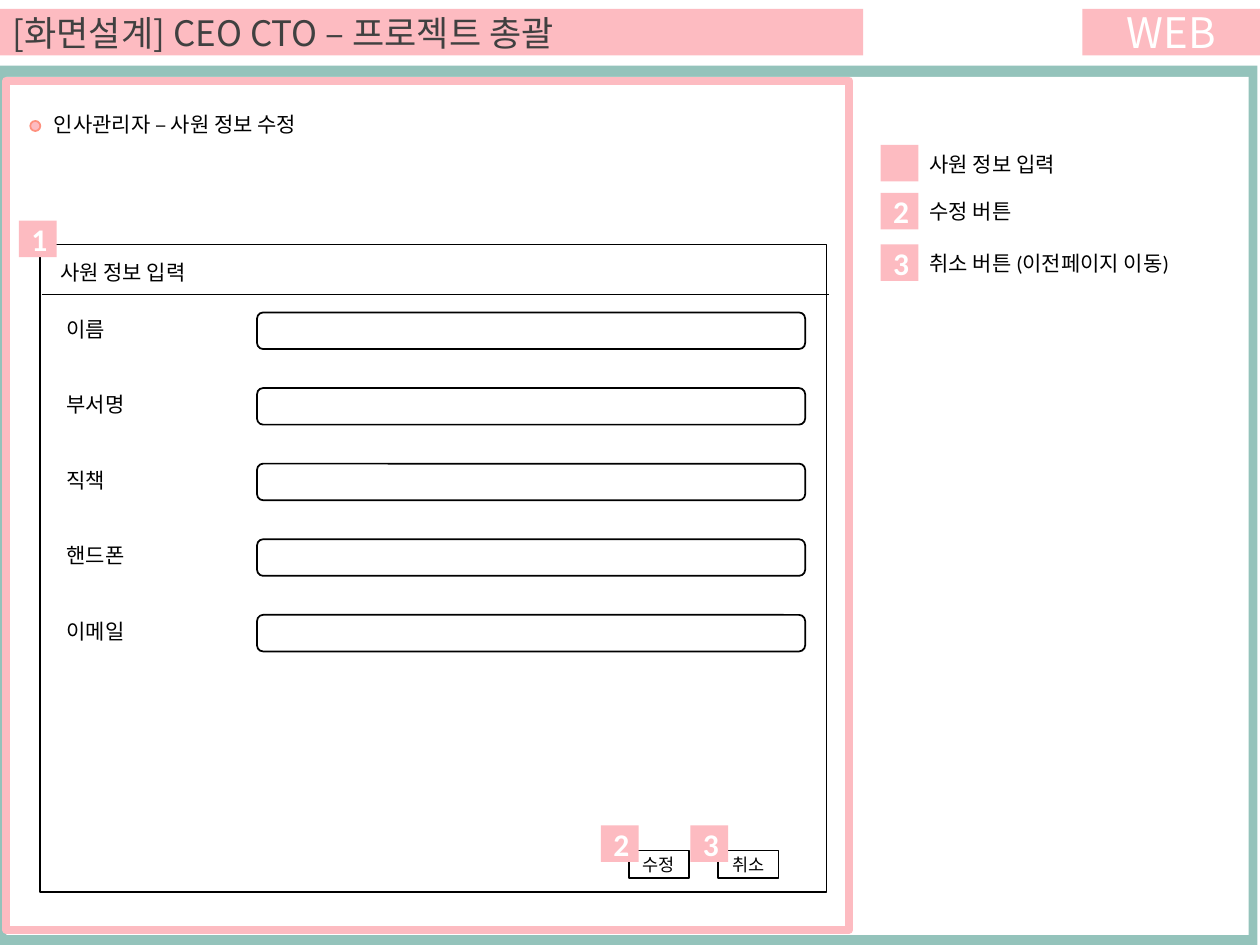
import pptx
import pptx.dml.color
import pptx.enum.shapes
import pptx.enum.text
import pptx.oxml.ns
import pptx.util
from lxml import etree

RGBColor = pptx.dml.color.RGBColor
PINK = RGBColor(0xFD, 0xBB, 0xC1)
CORAL = RGBColor(0xFE, 0x90, 0x7E)
GREEN = RGBColor(0x94, 0xC3, 0xBB)
GRAY = RGBColor(0x40, 0x40, 0x40)
WHITE = RGBColor(0xFF, 0xFF, 0xFF)
BLACK = RGBColor(0, 0, 0)

SHAPE = pptx.enum.shapes.MSO_SHAPE
ALIGN = pptx.enum.text.PP_ALIGN
Inches, Pt = pptx.util.Inches, pptx.util.Pt
qn = pptx.oxml.ns.qn

LATIN, KOREAN = "Calibri", "Noto Sans CJK KR"
BADGE_W, BADGE_H = 0.3, 0.29
FIELDS = ["이름", "부서명", "직책", "핸드폰", "이메일"]
FIELD_TOP, FIELD_PITCH = 2.48, 0.6


def write(sp, text, size, color, font=LATIN, bold=False, align=ALIGN.CENTER):
    tf = sp.text_frame
    tf.word_wrap = True
    tf.vertical_anchor = pptx.enum.text.MSO_ANCHOR.MIDDLE
    p = tf.paragraphs[0]
    p.text = text
    p.alignment = align
    p.font.size, p.font.name, p.font.bold = Pt(size), font, bold
    p.font.color.rgb = color
    ea = etree.SubElement(p._p.pPr.find(qn("a:defRPr")), qn("a:ea"))
    ea.set("typeface", KOREAN)
    return tf


def add_box(slide, x, y, w, h, fill=None, line=None, width=1, kind=SHAPE.RECTANGLE):
    sp = slide.shapes.add_shape(kind, Inches(x), Inches(y), Inches(w), Inches(h))
    sp.shadow.inherit = False
    if fill is None:
        sp.fill.background()
    else:
        sp.fill.solid()
        sp.fill.fore_color.rgb = fill
    if line is None:
        sp.line.fill.background()
    else:
        sp.line.color.rgb = line
        sp.line.width = Pt(width)
    return sp


def add_label(slide, x, y, w, text):
    sp = slide.shapes.add_textbox(Inches(x), Inches(y), Inches(w), Inches(0.3))
    tf = write(sp, text, 12, BLACK, align=ALIGN.LEFT)
    tf.vertical_anchor = pptx.enum.text.MSO_ANCHOR.TOP
    tf.auto_size = pptx.enum.text.MSO_AUTO_SIZE.SHAPE_TO_FIT_TEXT


def add_badge(slide, x, y, number=""):
    sp = add_box(slide, x, y, BADGE_W, BADGE_H, PINK)
    if number:
        write(sp, number, 18, WHITE, bold=True)


def add_button(slide, x, y, text):
    sp = add_box(slide, x, y, 0.48, 0.22, WHITE, BLACK)
    tf = write(sp, text, 10, BLACK)
    tf.margin_left = tf.margin_right = tf.margin_top = tf.margin_bottom = 0


def add_rule(slide, x1, x2, y):
    line = slide.shapes.add_connector(
        pptx.enum.shapes.MSO_CONNECTOR.STRAIGHT,
        Inches(x1), Inches(y), Inches(x2), Inches(y))
    line.line.color.rgb = BLACK
    line.line.width = Pt(0.5)
    etree.SubElement(line._element.spPr, qn("a:effectLst"))


def add_header(slide):
    title = slide.shapes.title
    title.left, title.top = Inches(0), Inches(0.07)
    title.width, title.height = Inches(6.85), Inches(0.37)
    title.fill.solid()
    title.fill.fore_color.rgb = PINK
    tf = write(title, "[화면설계] CEO CTO – 프로젝트 총괄", 20, GRAY, KOREAN,
               align=ALIGN.LEFT)
    tf.auto_size = pptx.enum.text.MSO_AUTO_SIZE.NONE
    write(add_box(slide, 8.59, 0.07, 1.41, 0.37, PINK), "WEB", 24, WHITE, KOREAN)


def add_frame(slide):
    add_box(slide, -0.02, 0.52, 10, 6.98, GREEN)
    add_box(slide, 0.05, 0.61, 9.86, 6.81, WHITE)
    add_box(slide, 0.05, 0.64, 6.69, 6.74, line=PINK, width=4.5)


def add_form(slide):
    # Screen name with its bullet
    add_box(slide, 0.24, 0.96, 0.08, 0.08, PINK, CORAL, kind=SHAPE.OVAL)
    add_label(slide, 0.33, 0.84, 3.86, "인사관리자 – 사원 정보 수정")
    # Panel and its heading
    add_box(slide, 0.32, 1.94, 6.24, 5.14, WHITE, BLACK)
    add_rule(slide, 0.33, 6.58, 2.34)
    add_label(slide, 0.38, 2.01, 1.83, "사원 정보 입력")
    add_badge(slide, 0.15, 1.75, "1")
    # Input rows
    for i, name in enumerate(FIELDS):
        y = FIELD_TOP + i * FIELD_PITCH
        add_box(slide, 2.04, y, 4.35, 0.29, WHITE, BLACK,
                kind=SHAPE.ROUNDED_RECTANGLE)
        add_label(slide, 0.43, y - 0.02, 1.06, name)
    # Buttons with their badges
    for x, number, name in [(4.99, "2", "수정"), (5.7, "3", "취소")]:
        add_button(slide, x, 6.75, name)
        add_badge(slide, x - 0.22, 6.55, number)


def add_legend(slide):
    items = [(1.15, "", "사원 정보 입력"),
             (1.53, "2", "수정 버튼"),
             (1.94, "3", "취소 버튼 (이전페이지 이동)")]
    for y, number, text in items:
        add_badge(slide, 6.99, y, number)
        add_label(slide, 7.28, y, 2.24, text)


def main():
    prs = pptx.Presentation()
    prs.slide_width, prs.slide_height = Inches(10), Inches(7.5)
    slide = prs.slides.add_slide(prs.slide_layouts[5])
    add_header(slide)
    add_frame(slide)
    add_form(slide)
    add_legend(slide)
    prs.save("out.pptx")


if __name__ == "__main__":
    main()
